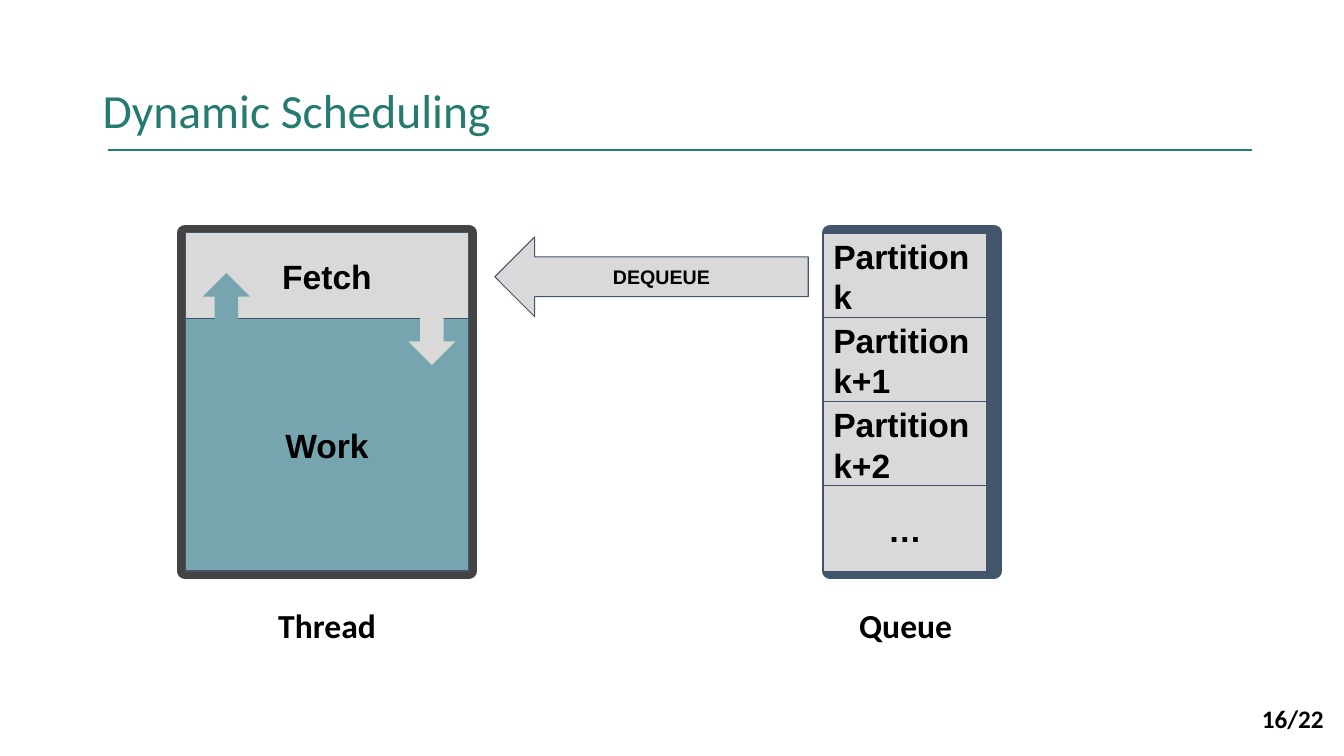
from dataclasses import dataclass

from lxml.etree import SubElement
from pptx import Presentation
from pptx.dml.color import RGBColor
from pptx.enum.shapes import MSO_CONNECTOR as Connector, MSO_SHAPE as Shape
from pptx.enum.text import MSO_ANCHOR as Anchor, MSO_AUTO_SIZE as AutoSize, PP_ALIGN as Align
from pptx.oxml.ns import qn
from pptx.util import Cm, Pt


@dataclass(frozen=True)
class Theme:
    accent: str = "257B70"
    ink: str = "000000"
    slate: str = "44546A"
    charcoal: str = "434343"
    grey: str = "D9D9D9"
    pale: str = "E7E6E6"
    teal: str = "76A5AF"
    title_size: float = 34
    body_size: float = 24
    page_size: float = 18
    arrow_size: float = 14
    frame_width: float = 12
    thin_width: float = 0.75
    rule_width: float = 2
    heading_font: str = "Calibri"
    diagram_font: str = "Arial"


THEME = Theme()


def set_attributes(target, values):
    for name, value in values.items():
        setattr(target, name, value)


def write(shape, text, font, size, color=THEME.ink, bold=True, align=Align.CENTER,
          anchor=Anchor.MIDDLE, inset=0.25, auto_size=AutoSize.NONE):
    frame = shape.text_frame
    set_attributes(frame, {
        "word_wrap": True, "auto_size": auto_size, "vertical_anchor": anchor,
        "margin_left": Cm(0.25), "margin_right": Cm(0.25),
        "margin_top": Cm(inset), "margin_bottom": Cm(inset),
    })
    paragraph = frame.paragraphs[0]
    paragraph.alignment = align
    run = paragraph.add_run()
    run.text = text
    set_attributes(run.font, {"name": font, "size": Pt(size), "bold": bold})
    run.font.color.rgb = RGBColor.from_string(color)
    return paragraph


def add_text(slide, box, text, size, **formats):
    shape = slide.shapes.add_textbox(*map(Cm, box))
    return write(shape, text, THEME.heading_font, size, **formats)


def add_block(slide, kind, box, fill=None, line=None, width=THEME.thin_width):
    shape = slide.shapes.add_shape(kind, *map(Cm, box))
    shape.shadow.inherit = False
    if fill:
        shape.fill.solid()
        shape.fill.fore_color.rgb = RGBColor.from_string(fill)
    else:
        shape.fill.background()
    if line:
        shape.line.color.rgb = RGBColor.from_string(line)
        shape.line.width = Pt(width)
    else:
        shape.line.fill.background()
    return shape


def add_labelled_block(slide, kind, box, text, fill=THEME.grey, size=THEME.body_size,
                       align=Align.CENTER):
    shape = add_block(slide, kind, box, fill, THEME.slate)
    write(shape, text, THEME.diagram_font, size, align=align)


def add_caption(slide, left, text):
    add_text(slide, (left, 14.99, 3.23, 1.55), text, THEME.body_size,
             anchor=Anchor.TOP, auto_size=AutoSize.SHAPE_TO_FIT_TEXT)


def add_rule(slide, left, right, top):
    rule = slide.shapes.add_connector(
        Connector.STRAIGHT, Cm(left), Cm(top), Cm(right), Cm(top))
    rule.line.color.rgb = RGBColor.from_string(THEME.accent)
    rule.line.width = Pt(THEME.rule_width)
    SubElement(rule._element.spPr, qn("a:effectLst"))


def add_header(slide):
    title = add_text(slide, (2.34, 1.02, 29.21, 3.68), "Dynamic Scheduling",
                     THEME.title_size, color=THEME.accent, bold=False,
                     align=Align.LEFT, inset=0.13)
    title.line_spacing = 0.9
    add_rule(slide, 2.72, 31.55, 3.78)


def add_thread(slide):
    left, top, width, fetch_height, work_height = 4.67, 5.87, 7.14, 2.16, 6.36
    add_block(slide, Shape.RECTANGLE, (left, top, width, fetch_height + work_height),
              line=THEME.charcoal, width=THEME.frame_width)
    add_labelled_block(slide, Shape.RECTANGLE, (left, top, width, fetch_height), "Fetch")
    add_labelled_block(slide, Shape.RECTANGLE,
                       (left, top + fetch_height, width, work_height), "Work", THEME.teal)
    add_block(slide, Shape.DOWN_ARROW, (10.29, 7.65, 1.19, 1.55), THEME.grey)
    add_block(slide, Shape.UP_ARROW, (5.11, 6.88, 1.19, 1.55), THEME.teal)
    add_caption(slide, 6.63, "Thread")


def add_queue(slide):
    width, pitch = 4.11, 2.12
    add_block(slide, Shape.RECTANGLE, (20.93, 5.87, width, 8.52),
              THEME.pale, THEME.slate, THEME.frame_width)
    for row, text in enumerate(("Partition k", "Partition k+1", "Partition k+2", "…")):
        align = Align.CENTER if text == "…" else Align.LEFT
        add_labelled_block(slide, Shape.RECTANGLE, (20.75, 5.88 + row * pitch, width, 2.16),
                           text, align=align)
    add_caption(slide, 21.21, "Queue")


def main():
    presentation = Presentation()
    set_attributes(presentation, {"slide_width": Cm(33.87), "slide_height": Cm(19.05)})
    slide = presentation.slides.add_slide(presentation.slide_layouts[6])
    add_header(slide)
    add_text(slide, (31.55, 17.6, 2.34, 1.02), "16/22", THEME.page_size,
             align=Align.LEFT, anchor=Anchor.TOP, inset=0.13,
             auto_size=AutoSize.SHAPE_TO_FIT_TEXT)
    add_thread(slide)
    add_queue(slide)
    add_labelled_block(slide, Shape.LEFT_ARROW, (12.47, 5.97, 7.9, 2.01), "DEQUEUE",
                       size=THEME.arrow_size)
    presentation.save("out.pptx")


if __name__ == "__main__":
    main()
